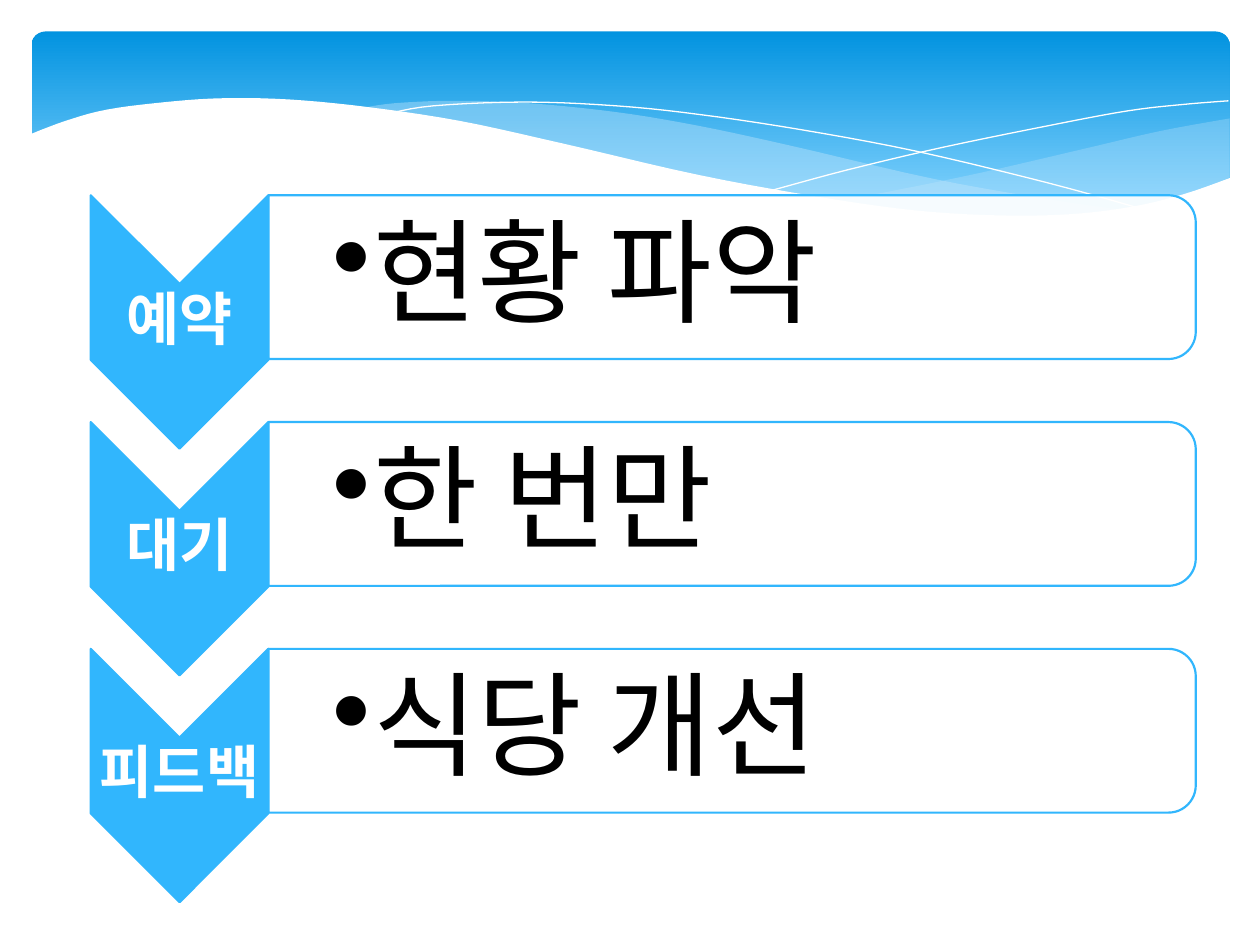
from lxml import etree
from pptx import Presentation
from pptx.dml.color import RGBColor
from pptx.enum.shapes import MSO_SHAPE
from pptx.enum.text import MSO_ANCHOR, PP_ALIGN
from pptx.oxml.ns import qn
from pptx.util import Inches, Pt

ROUND_RECT = MSO_SHAPE.ROUNDED_RECTANGLE
CHEVRON = MSO_SHAPE.CHEVRON
TOP_ROUNDED = MSO_SHAPE.ROUND_2_SAME_RECTANGLE
MIDDLE = MSO_ANCHOR.MIDDLE
LEFT, CENTER = PP_ALIGN.LEFT, PP_ALIGN.CENTER

COLORS = {"deep": "0293E0", "sky": "83D3FE", "mist": "C6E7FC",
          "accent": "31B6FD", "white": "FFFFFF", "black": "000000"}
FONT = "Cabin"


def rgb(name):
    return RGBColor.from_string(COLORS[name])


def spline(points, steps=5):
    """Smooth curve through the points (Catmull-Rom)."""
    ends = [points[0], *points, points[-1]]
    curve = []
    for a, b, c, d in zip(ends, ends[1:], ends[2:], ends[3:]):
        for i in range(steps):
            t = i / steps
            curve.append(tuple(
                (2 * q + (r - p) * t + (2 * p - 5 * q + 4 * r - s) * t ** 2
                 + (3 * q - p - 3 * r + s) * t ** 3) / 2
                for p, q, r, s in zip(a, b, c, d)))
    return curve + [points[-1]]


class Slide:
    def __init__(self, prs):
        self.s = prs.slides.add_slide(prs.slide_layouts[6])

    def paint(self, sp, fill=None, line=None, width=1.25, alpha=100):
        sp.shadow.inherit = False
        if fill:
            sp.fill.solid()
            sp.fill.fore_color.rgb = rgb(fill)
            if alpha < 100:
                color = sp.fill._xPr.find(qn("a:solidFill"))[0]
                etree.SubElement(color, qn("a:alpha"), val=str(alpha * 1000))
        else:
            sp.fill.background()
        if line:
            sp.line.color.rgb = rgb(line)
            sp.line.width = Pt(width)
        else:
            sp.line.fill.background()

    def shape(self, kind, x, y, w, h, rotation=0, **style):
        sp = self.s.shapes.add_shape(kind, Inches(x), Inches(y), Inches(w), Inches(h))
        sp.rotation = rotation
        self.paint(sp, **style)
        return sp

    def outline(self, points, close=True, **style):
        pts = [(Inches(x), Inches(y)) for x, y in points]
        builder = self.s.shapes.build_freeform(*pts[0])
        builder.add_line_segments(pts[1:], close=close)
        self.paint(builder.convert_to_shape(), **style)

    def text(self, text, x, y, w, h, size, color, align=LEFT, bold=False,
             inset=0.05, left=None, bullet=None):
        tb = self.s.shapes.add_textbox(Inches(x), Inches(y), Inches(w), Inches(h))
        tf = tb.text_frame
        tf.word_wrap = True
        tf.vertical_anchor = MIDDLE
        tf.margin_top = tf.margin_bottom = tf.margin_right = Inches(inset)
        tf.margin_left = Inches(inset if left is None else left)
        p = tf.paragraphs[0]
        p.text = text
        p.alignment = align
        p.line_spacing = 0.9
        p.font.name, p.font.size, p.font.bold = FONT, Pt(size), bold
        p.font.color.rgb = rgb(color)
        # Runs carry the font for a reliable fallback across scripts
        if bullet:
            pPr = p._p.get_or_add_pPr()
            pPr.set("marL", str(Inches(0.31)))
            pPr.set("indent", str(-Inches(0.31)))
            mark = etree.Element(qn("a:buChar"), char=bullet)
            pPr.find(qn("a:defRPr")).addprevious(mark)
        r = p.runs[0]
        r.font.name, r.font.size, r.font.bold = FONT, Pt(size), bold
        r.font.color.rgb = rgb(color)


prs = Presentation()
prs.slide_width, prs.slide_height = Inches(10), Inches(7.5)
slide = Slide(prs)

# Banner with gradient
banner = slide.shape(ROUND_RECT, 0.25, 0.25, 9.51, 1.56, fill="deep")
banner.adjustments[0] = 0.071
banner.fill.gradient()
banner.fill.gradient_angle = 270
for stop, color, position in zip(banner.fill.gradient_stops, ("deep", "sky"), (0, 0.9)):
    stop.color.rgb = rgb(color)
    stop.position = position

# Translucent waves
right_wave = (
    spline([(9.76, 0.94), (9.21, 1.04), (8.61, 1.18), (7.79, 1.37), (7.06, 1.52), (6.61, 1.6)])
    + spline([(6.61, 1.6), (7.19, 1.67), (7.81, 1.72), (8.35, 1.72), (8.89, 1.66),
              (9.35, 1.56), (9.76, 1.41)]))
middle_wave = (
    spline([(8.93, 1.67), (8.37, 1.59), (7.41, 1.42), (6.29, 1.16), (5.55, 1), (4.89, 0.89),
            (4.2, 0.82), (3.61, 0.8), (3.13, 0.82), (2.86, 0.86)])
    + spline([(2.86, 0.86), (3.42, 0.94), (4.04, 1.06), (4.91, 1.26), (5.66, 1.43), (6.34, 1.56),
              (6.95, 1.65), (7.61, 1.71), (8.18, 1.73), (8.57, 1.71), (8.93, 1.67)]))
slide.outline(right_wave, fill="mist", alpha=29)
slide.outline(middle_wave, fill="mist", alpha=40)

# Hairline curves
for points in (
    [(3.09, 0.9), (3.44, 0.84), (4.16, 0.81), (4.89, 0.84), (5.56, 0.91), (6.36, 1.03),
     (7.27, 1.2), (8.31, 1.45), (9.07, 1.66)],
    [(6.13, 1.51), (6.72, 1.35), (7.48, 1.17), (8.36, 0.99), (8.95, 0.88), (9.38, 0.83),
     (9.75, 0.8)],
):
    slide.outline(spline(points), close=False, line="white", width=0)

# White wave under the banner
edge = spline([(9.77, 1.41), (9.4, 1.54), (8.99, 1.64), (8.5, 1.7), (7.93, 1.71), (7.26, 1.67),
               (6.48, 1.56), (5.55, 1.39), (4.47, 1.14), (3.65, 0.96), (2.92, 0.85),
               (2.3, 0.79), (1.77, 0.78), (1.32, 0.81), (0.85, 0.87), (0.52, 0.96),
               (0.23, 1.07)])
slide.outline(edge + [(0.23, 2.24), (9.77, 2.24)], fill="white")

# Steps
PITCH = 1.8
for i, (step, detail) in enumerate([("예약", "현황 파악"), ("대기", "한 번만"), ("피드백", "식당 개선")]):
    dy = i * PITCH
    slide.shape(CHEVRON, 0.42, 1.85 + dy, 2.01, 1.41, 90, fill="accent", line="accent")
    slide.text(step, 0.72, 2.25 + dy, 1.41, 0.6, 33, "white", CENTER, True, inset=0.02)
    slide.shape(TOP_ROUNDED, 5.16, -1.48 + dy, 1.3, 7.36, 90,
                fill="white", line="accent", alpha=90)
    slide.text(detail, 2.13, 1.61 + dy, 7.3, 1.18, 65, "black", left=0.51, bullet="•")

prs.save("out.pptx")
